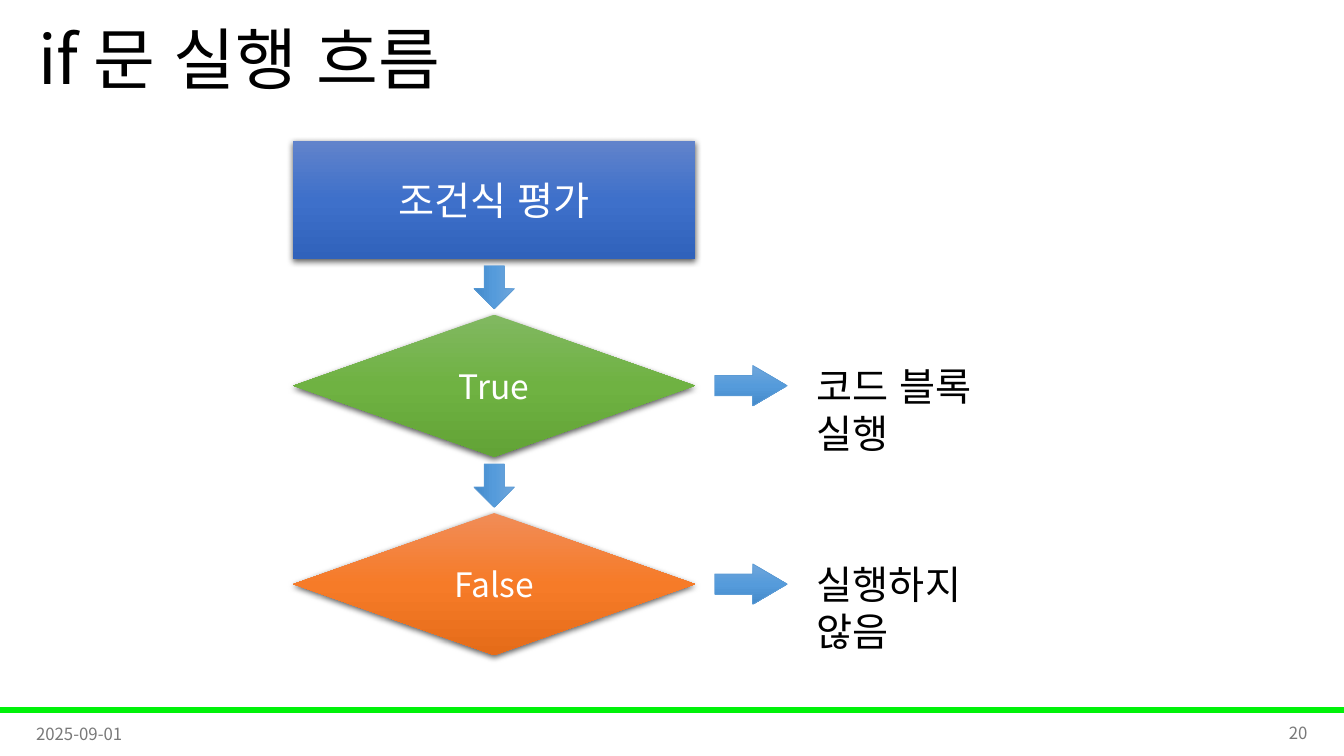
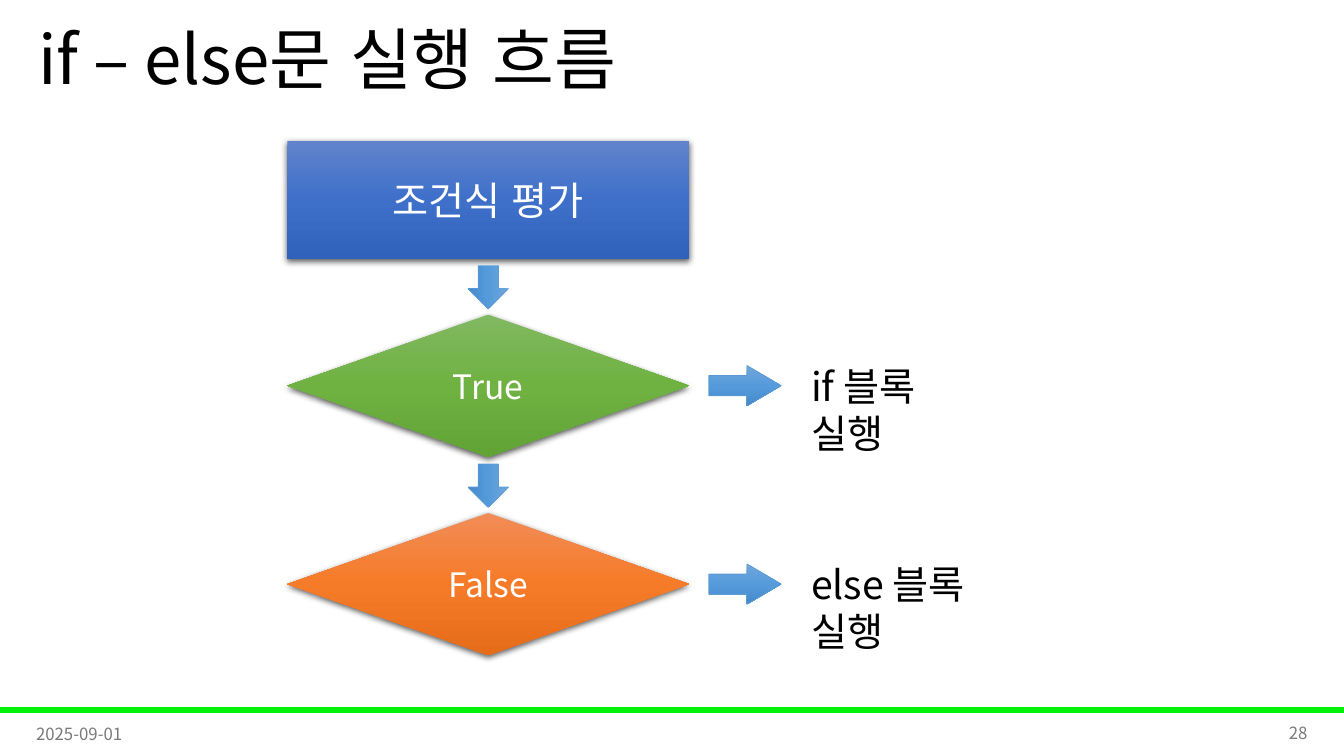
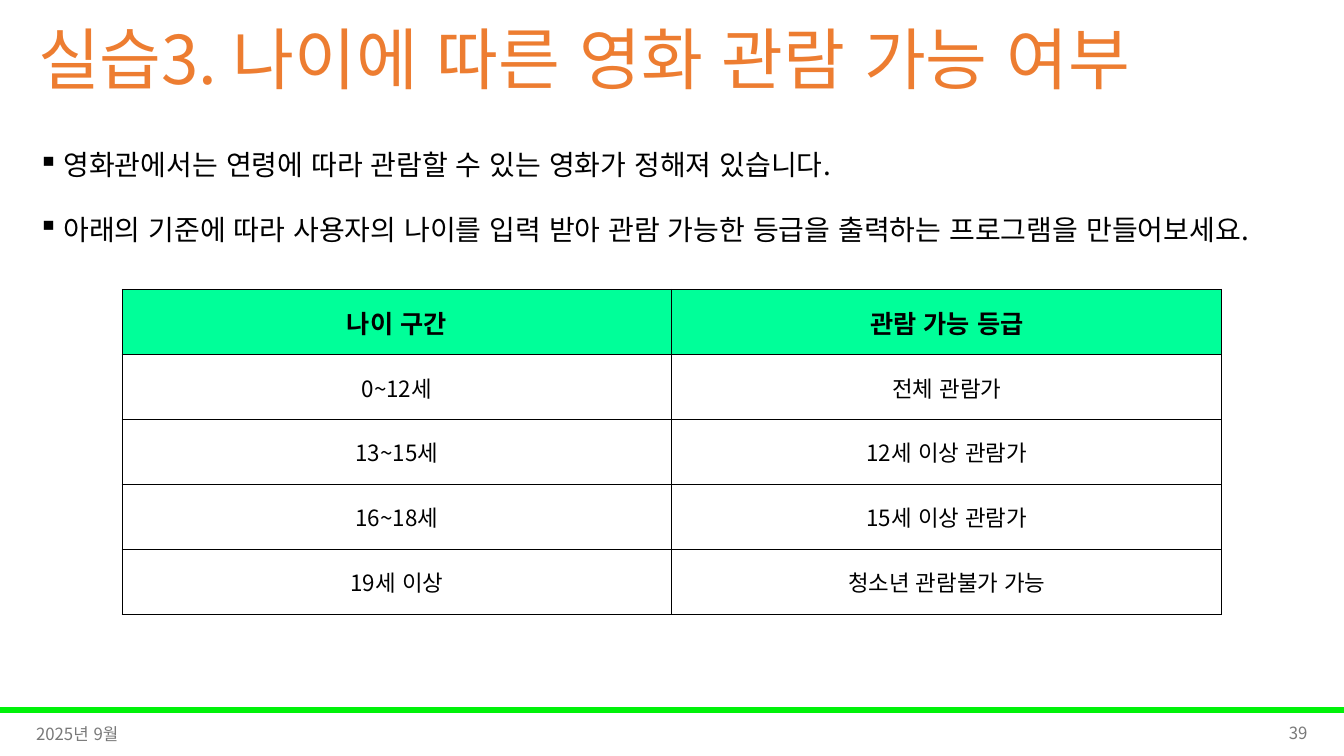
from copy import deepcopy

from lxml.etree import SubElement
from pptx import Presentation
from pptx.dml.color import RGBColor as RGB
from pptx.enum.lang import MSO_LANGUAGE_ID as Lang
from pptx.enum.shapes import MSO_SHAPE as Shape
from pptx.enum.text import MSO_ANCHOR as Anchor, PP_ALIGN as Align
from pptx.oxml.ns import qn
from pptx.util import Cm, Pt

FONT = "Noto Sans CJK KR"
BLACK = RGB(0x00, 0x00, 0x00)
WHITE = RGB(0xFF, 0xFF, 0xFF)
GRAY = RGB(0x79, 0x79, 0x79)
LIME = RGB(0x00, 0xF2, 0x09)
MINT = RGB(0x00, 0xFF, 0x99)
ORANGE = RGB(0xED, 0x7D, 0x31)
EDGE = RGB(0x5B, 0x9B, 0xD5)
BLUES = RGB(0x61, 0x83, 0xCB), RGB(0x3E, 0x70, 0xCA), RGB(0x30, 0x62, 0xBB)
GREENS = RGB(0x81, 0xB8, 0x61), RGB(0x6F, 0xB2, 0x42), RGB(0x62, 0xA3, 0x36)
EMBERS = RGB(0xF1, 0x8C, 0x57), RGB(0xF6, 0x7B, 0x28), RGB(0xE5, 0x6C, 0x19)
SKIES = RGB(0x71, 0xA6, 0xDB), RGB(0x55, 0x9B, 0xDB), RGB(0x44, 0x8A, 0xCA)

WIDE, HIGH = 33.87, 19.05
STEP = 5


def write(frame, text, size=28, color=BLACK, bold=False, align=Align.LEFT,
          anchor=Anchor.MIDDLE, space=None, before=None, bullet=None):
    """Fill a text frame, one paragraph for each line of text."""
    frame.word_wrap = True
    frame.vertical_anchor = anchor
    for i, line in enumerate(text.split("\n")):
        para = frame.add_paragraph() if i else frame.paragraphs[0]
        para.alignment = align
        para.line_spacing = space
        para.space_before = before
        if bullet:
            props = para._p.get_or_add_pPr()
            props.set("marL", str(Cm(0.64)))
            props.set("indent", str(-Cm(0.64)))
            SubElement(props, qn("a:buChar"), char=bullet)
        run = para.add_run()
        run.text = line
        font = run.font
        font.name, font.size, font.bold = FONT, Pt(size), bold
        font.color.rgb = color
        font.language_id = Lang.KOREAN
        SubElement(font._element, qn("a:ea"), typeface=FONT)


def label(slide, text, x, y, w, h, **style):
    """Add a text box."""
    box = slide.shapes.add_textbox(Cm(x), Cm(y), Cm(w), Cm(h))
    write(box.text_frame, text, **style)


def shade(shape, colors):
    """Fill a shape from top to bottom with evenly spaced colours."""
    shape.fill.gradient()
    shape.fill.gradient_angle = 270
    stops = shape._element.spPr.find(".//" + qn("a:gsLst"))
    stops.append(deepcopy(stops[0]))
    for i, (stop, color) in enumerate(zip(shape.fill.gradient_stops, colors)):
        stop.position = i / 2
        stop.color.rgb = color


def node(slide, kind, text, colors, x, y, w, h, size=24):
    """Add a shaded, shadowed step of the flow."""
    shape = slide.shapes.add_shape(kind, Cm(x), Cm(y), Cm(w), Cm(h))
    shade(shape, colors)
    shape.line.fill.background()
    shape.shadow.inherit = False
    effects = shape._element.spPr.find(qn("a:effectLst"))
    cast = SubElement(effects, qn("a:outerShdw"), blurRad=str(Pt(4.5)),
                      dist=str(Pt(1.5)), dir="5400000", algn="ctr", rotWithShape="0")
    tone = SubElement(cast, qn("a:srgbClr"), val=str(BLACK))
    SubElement(tone, qn("a:alpha"), val="63000")
    write(shape.text_frame, text, size=size, color=WHITE, align=Align.CENTER)


def arrow(slide, x, y, w, turn=0, tip=0.5):
    """Add a block arrow, turned clockwise by the given degrees."""
    shape = slide.shapes.add_shape(Shape.RIGHT_ARROW, Cm(x), Cm(y), Cm(w), Cm(1.02))
    shape.adjustments[1] = tip
    shape.rotation = turn
    shade(shape, SKIES)
    shape.line.color.rgb = EDGE
    shape.line.width = Pt(0.5)
    shape.shadow.inherit = False


def flow(slide, x, y, w, notes):
    """Draw the test and its two outcomes, with a (text, width) note for each."""
    node(slide, Shape.RECTANGLE, "조건식 평가", BLUES, x, y, w, 2.97, size=28)
    cases = ("True", GREENS), ("False", EMBERS)
    for i, ((name, colors), (note, span)) in enumerate(zip(cases, notes)):
        top = y + 4.37 + i * STEP
        arrow(slide, x + (w - 1.09) / 2, top - 1.2, 1.09, turn=90)
        node(slide, Shape.DIAMOND, name, colors, x, top, w, 3.58)
        arrow(slide, x + w + 0.49, top + 1.28, 1.83, tip=0.85)
        label(slide, note, x + w + 2.82, top + 1.07, span, 1.45, anchor=Anchor.TOP)


def border(cell):
    """Draw thin black lines round a cell."""
    props = cell._tc.get_or_add_tcPr()
    for i, side in enumerate(("lnL", "lnR", "lnT", "lnB")):
        line = props.makeelement(qn("a:" + side), {"w": str(Pt(0.5))})
        fill = SubElement(line, qn("a:solidFill"))
        SubElement(fill, qn("a:srgbClr"), val=str(BLACK))
        props.insert(i, line)


def grid(slide, rows, x, y, w, h):
    """Add a table with equal rows and columns and a mint head row."""
    count, span = len(rows), len(rows[0])
    table = slide.shapes.add_table(count, span, Cm(x), Cm(y), Cm(w), Cm(h)).table
    table.horz_banding = table.first_row = False
    for r, row in enumerate(rows):
        for c, text in enumerate(row):
            cell = table.cell(r, c)
            cell.margin_left = cell.margin_right = cell.margin_top = Cm(0.03)
            cell.margin_bottom = 0
            if r:
                cell.fill.background()
            else:
                cell.fill.solid()
                cell.fill.fore_color.rgb = MINT
            write(cell.text_frame, text, size=16 if r else 18, bold=not r,
                  align=Align.CENTER)
            cell.vertical_anchor = Anchor.MIDDLE
            border(cell)


def page(deck, title, date, number, color=BLACK):
    """Add a slide with its title, green rule and footer."""
    slide = deck.slides.add_slide(deck.slide_layouts[6])
    rule = slide.shapes.add_shape(Shape.RECTANGLE, 0, Cm(17.83), Cm(WIDE), Cm(0.13))
    rule.fill.solid()
    rule.fill.fore_color.rgb = rule.line.color.rgb = LIME
    rule.line.width = Pt(1)
    rule.shadow.inherit = False
    label(slide, title, 0.71, 0, 29.21, 3.18, size=48, color=color, space=0.9)
    label(slide, date, 0.66, 17.98, 7.62, 1.02, size=12, color=GRAY)
    label(slide, number, 25.58, 17.96, 7.62, 1.02, size=12, color=GRAY,
          align=Align.RIGHT)
    return slide


def main():
    """Build and save the slides."""
    deck = Presentation()
    deck.slide_width, deck.slide_height = Cm(WIDE), Cm(HIGH)

    slide = page(deck, "if 문 실행 흐름", "2025-09-01", "20")
    flow(slide, 7.39, 3.56, 10.13, (("코드 블록 실행", 6.12), ("실행하지 않음", 5.92)))

    slide = page(deck, "if – else문 실행 흐름", "2025-09-01", "28")
    flow(slide, 7.24, 3.56, 10.13, (("if 블록 실행", 5.08), ("else 블록 실행", 6.43)))

    slide = page(deck, "실습3. 나이에 따른 영화 관람 가능 여부", "2025년 9월", "39",
                 color=ORANGE)
    label(slide, "영화관에서는 연령에 따라 관람할 수 있는 영화가 정해져 있습니다.\n"
          "아래의 기준에 따라 사용자의 나이를 입력 받아 관람 가능한 등급을 "
          "출력하는 프로그램을 만들어보세요.",
          0.71, 3.18, 32.33, 3.71, size=20, anchor=Anchor.TOP, space=1.5,
          before=Pt(10), bullet="▪")
    grid(slide, (("나이 구간", "관람 가능 등급"),
                 ("0~12세", "전체 관람가"),
                 ("13~15세", "12세 이상 관람가"),
                 ("16~18세", "15세 이상 관람가"),
                 ("19세 이상", "청소년 관람불가 가능")), 3.07, 7.29, 27.72, 8.18)
    deck.save("out.pptx")


if __name__ == "__main__":
    main()
